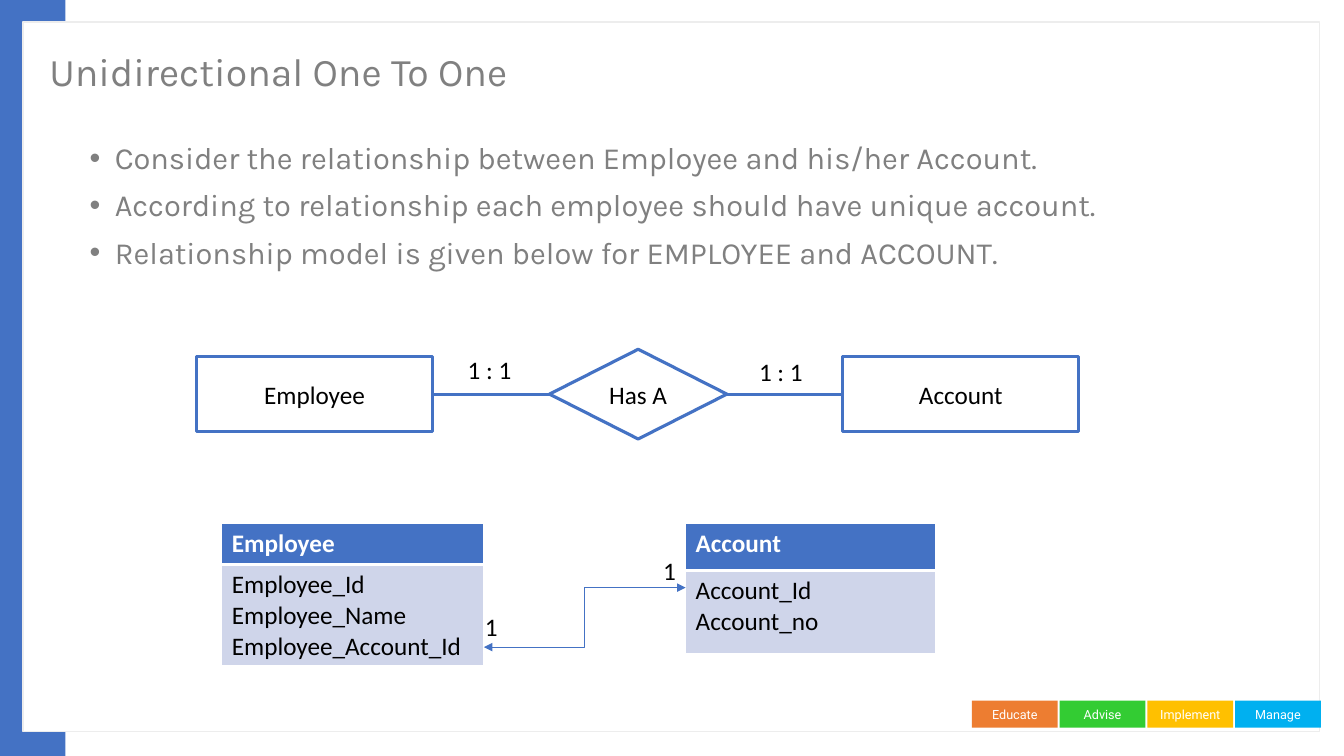
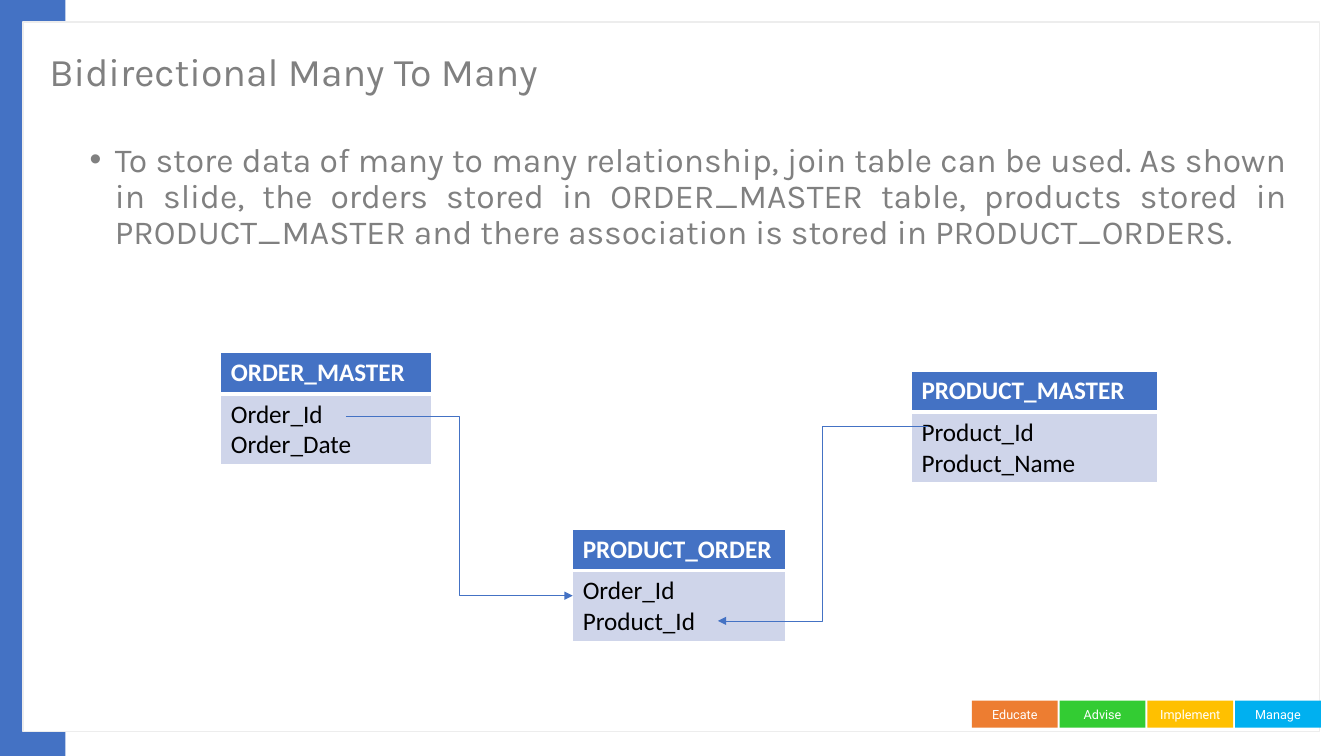
from lxml import etree
from pptx import Presentation
from pptx.dml.color import RGBColor
from pptx.enum import shapes, text
from pptx.oxml import ns
from pptx.util import Inches, Pt

BLUE = RGBColor(0x44, 0x72, 0xC4)
PALE_BLUE = RGBColor(0xCF, 0xD5, 0xEA)
WHITE = RGBColor(0xFF, 0xFF, 0xFF)
BLACK = RGBColor(0x00, 0x00, 0x00)
GRAY = RGBColor(0x80, 0x80, 0x80)
FRAME_GRAY = RGBColor(0xED, 0xED, 0xED)
ORANGE = RGBColor(0xED, 0x7D, 0x31)
GREEN = RGBColor(0x33, 0xCC, 0x33)
AMBER = RGBColor(0xFF, 0xC0, 0x00)
SKY = RGBColor(0x00, 0xB0, 0xF0)

CENTER = text.PP_ALIGN.CENTER
JUSTIFY = text.PP_ALIGN.JUSTIFY
RECT = shapes.MSO_SHAPE.RECTANGLE
DIAMOND = shapes.MSO_SHAPE.DIAMOND
STRAIGHT = shapes.MSO_CONNECTOR.STRAIGHT
ELBOW = shapes.MSO_CONNECTOR.ELBOW

FOOTER = [("Educate", ORANGE), ("Advise", GREEN), ("Implement", AMBER), ("Manage", SKY)]
TAB_LEFT, TAB_STEP = 9.64, 0.87

# title, body size, body alignment, bullets
PAGES = [
    ("Unidirectional One To One", 22, None, [
        "Consider the relationship between Employee and his/her Account.",
        "According to relationship each employee should have unique account.",
        "Relationship model is given below for EMPLOYEE and ACCOUNT."]),
    ("Bidirectional Many To Many", 24, JUSTIFY, [
        "To store data of many to many relationship, join table can be used. "
        "As shown in slide, the orders stored in ORDER_MASTER table, products "
        "stored in PRODUCT_MASTER and there association is stored in PRODUCT_ORDERS."]),
]

# page, left, top, width, row heights, name, fields
ENTITIES = [
    (0, 2.2, 5.19, 2.6, (0.41, 1.0), "Employee",
     ["Employee_Id", "Employee_Name", "Employee_Account_Id"]),
    (0, 6.8, 5.19, 2.48, (0.47, 0.82), "Account", ["Account_Id", "Account_no"]),
    (1, 2.19, 3.5, 2.09, (0.41, 0.7), "ORDER_MASTER", ["Order_Id", "Order_Date"]),
    (1, 5.68, 5.25, 2.11, (0.41, 0.7), "PRODUCT_ORDER", ["Order_Id", "Product_Id"]),
    (1, 9.04, 3.68, 2.44, (0.41, 0.7), "PRODUCT_MASTER", ["Product_Id", "Product_Name"]),
]

# page, start, end, arrowheads
KEY_LINKS = [
    (0, (4.8, 6.42), (6.8, 5.83), ("headEnd", "tailEnd")),
    (1, (3.43, 4.13), (5.68, 5.91), ("tailEnd",)),
    (1, (9.2, 4.23), (7.12, 6.16), ("tailEnd",)),
]

CARDINALITIES = [
    ("1 : 1", 4.54, 3.47, 0.73), ("1 : 1", 7.43, 3.49, 0.73),
    ("1", 4.71, 6.02, 0.23), ("1", 6.48, 5.46, 0.23),
]


def write(frame, lines, size, color, font="Calibri", bold=False, align=None):
    """Fill a text frame, one paragraph for each line."""
    frame.word_wrap = True
    frame.text = "\n".join(lines)
    for paragraph in frame.paragraphs:
        paragraph.alignment = align
        for run in paragraph.runs:
            run.font.size = Pt(size)
            run.font.name = font
            run.font.bold = bold
            run.font.color.rgb = color


def add_block(slide, preset, box, fill, outline=None, weight=1):
    block = slide.shapes.add_shape(preset, *map(Inches, box))
    block.shadow.inherit = False
    block.fill.solid()
    block.fill.fore_color.rgb = fill
    if outline is None:
        block.line.fill.background()
    else:
        block.line.color.rgb = outline
        block.line.width = Pt(weight)
    return block


prs = Presentation()
prs.slide_width, prs.slide_height = Inches(13.33), Inches(7.5)
slides = []

for title, body_size, body_align, bullets in PAGES:
    slide = prs.slides.add_slide(prs.slide_layouts[6])
    slides.append(slide)
    add_block(slide, RECT, (0, 0, 0.65, 7.5), BLUE)
    add_block(slide, RECT, (0.23, 0.22, 12.86, 7.04), WHITE, FRAME_GRAY)
    for i, (label, color) in enumerate(FOOTER):
        tab = add_block(slide, RECT, (TAB_LEFT + i * TAB_STEP, 6.95, 0.85, 0.27), color)
        write(tab.text_frame, [label], 9, WHITE, "Roboto", align=CENTER)

    heading = slide.shapes.add_textbox(Inches(0.39), Inches(0.3), Inches(10.32), Inches(0.87))
    write(heading.text_frame, [title], 28, GRAY, "Karla")
    heading.text_frame.vertical_anchor = text.MSO_ANCHOR.MIDDLE
    heading.text_frame.paragraphs[0].line_spacing = 0.9

    body = slide.shapes.add_textbox(Inches(0.79), Inches(1.37), Inches(12.07), Inches(5.53))
    write(body.text_frame, bullets, body_size, GRAY, "Karla", align=body_align)
    for paragraph in body.text_frame.paragraphs:
        paragraph.line_spacing = 0.9
        paragraph.space_before = Pt(10)
        properties = paragraph._p.get_or_add_pPr()
        properties.set("marL", str(Inches(0.25)))
        properties.set("indent", str(-Inches(0.25)))
        etree.SubElement(properties, ns.qn("a:buFont"), typeface="Arial")
        etree.SubElement(properties, ns.qn("a:buChar"), char="•")

# Relationship model
relation = []
for label, preset, box in [
    ("Employee", RECT, (1.95, 3.54, 2.34, 0.74)),
    ("Has A", DIAMOND, (5.45, 3.465, 1.76, 0.89)),
    ("Account", RECT, (8.36, 3.54, 2.34, 0.74)),
]:
    node = add_block(slides[0], preset, box, WHITE, BLUE, 2.25)
    write(node.text_frame, [label], 18, BLACK, align=CENTER)
    relation.append(node)

connectors = []
for left_node, right_node in zip(relation, relation[1:]):
    link = slides[0].shapes.add_connector(STRAIGHT, 0, 0, 0, 0)
    link.begin_connect(left_node, 3)
    link.end_connect(right_node, 1)
    connectors.append((link, 2.25, ()))

# Tables of fields
for page, left, top, width, heights, name, fields in ENTITIES:
    entity = slides[page].shapes.add_table(
        2, 1, Inches(left), Inches(top), Inches(width), Inches(sum(heights))).table
    for row, height in zip(entity.rows, heights):
        row.height = Inches(height)
    header, field_list = entity.cell(0, 0), entity.cell(1, 0)
    write(header.text_frame, [name], 18, WHITE, bold=True)
    write(field_list.text_frame, fields, 18, BLACK)
    for cell, fill, top_line, bottom_line in [
        (header, BLUE, 1, 3), (field_list, PALE_BLUE, 3, 1),
    ]:
        properties = cell._tc.get_or_add_tcPr()
        for side, weight in [("L", 1), ("R", 1), ("T", top_line), ("B", bottom_line)]:
            border = etree.SubElement(properties, ns.qn("a:ln" + side), w=str(Pt(weight)))
            paint = etree.SubElement(border, ns.qn("a:solidFill"))
            etree.SubElement(paint, ns.qn("a:srgbClr"), val=str(WHITE))
        cell.fill.solid()
        cell.fill.fore_color.rgb = fill

# Key links
for page, start, end, heads in KEY_LINKS:
    link = slides[page].shapes.add_connector(ELBOW, *map(Inches, start + end))
    connectors.append((link, 0.5, heads))

for link, weight, heads in connectors:
    link.line.color.rgb = BLUE
    link.line.width = Pt(weight)
    for head in heads:
        etree.SubElement(link.line._get_or_add_ln(), ns.qn("a:" + head), type="triangle")
    etree.SubElement(link._element.spPr, ns.qn("a:effectLst"))

for label, left, top, width in CARDINALITIES:
    cardinality = slides[0].shapes.add_textbox(
        Inches(left), Inches(top), Inches(width), Inches(0.4))
    write(cardinality.text_frame, [label], 18, BLACK)

prs.save("out.pptx")
